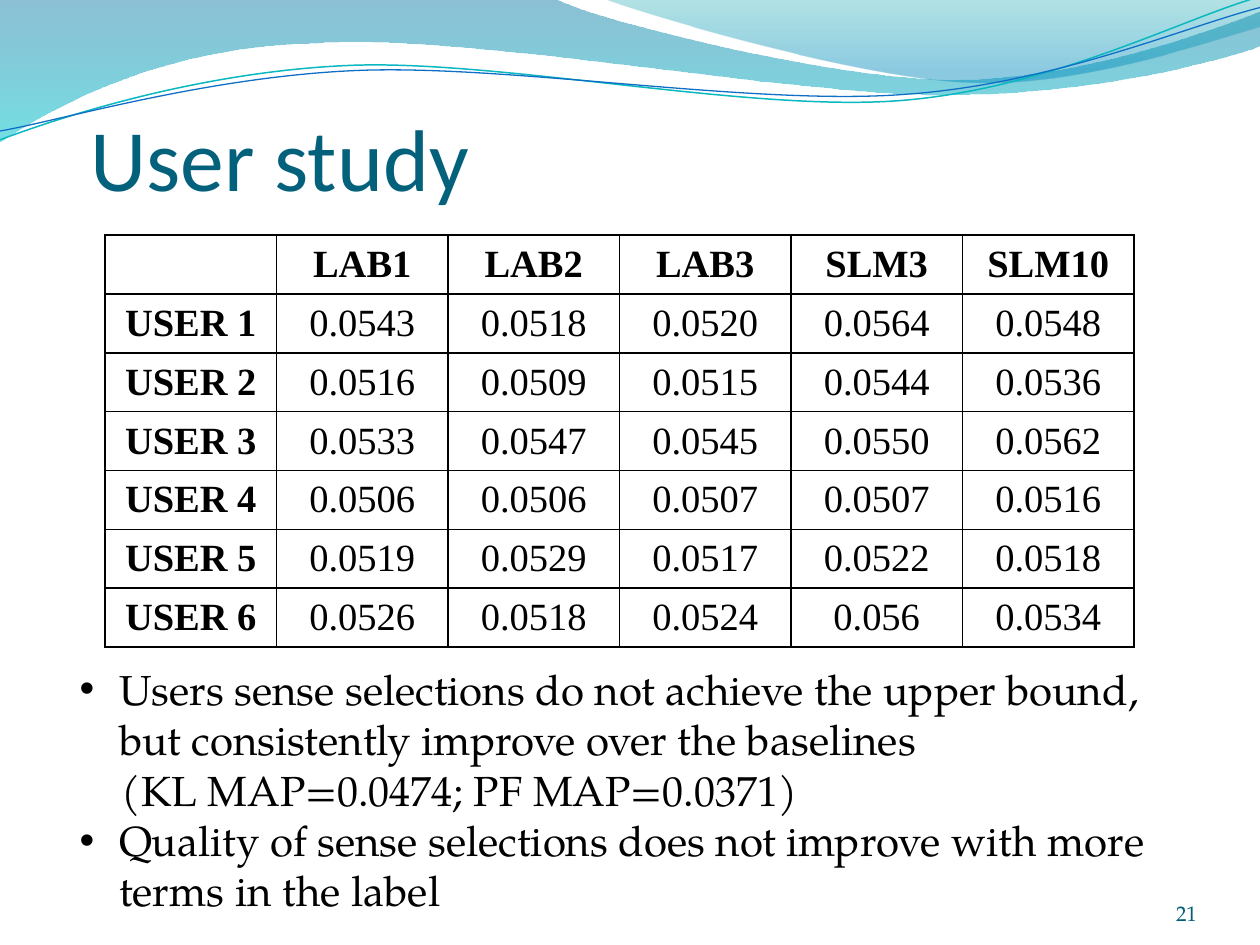
from lxml import etree
from pptx import Presentation
from pptx import util as u
from pptx.dml import color
from pptx.enum import text
from pptx.oxml import ns

WIDE, HIGH = u.Inches(10), u.Inches(7.5)
UNIT = WIDE / 100
SERIF, BODY = "Times New Roman", "TeX Gyre Pagella"
MID, END = text.MSO_ANCHOR.MIDDLE, text.MSO_ANCHOR.BOTTOM

HEAD = ["", "LAB1", "LAB2", "LAB3", "SLM3", "SLM10"]
SCORES = [
    ["0.0543", "0.0518", "0.0520", "0.0564", "0.0548"],
    ["0.0516", "0.0509", "0.0515", "0.0544", "0.0536"],
    ["0.0533", "0.0547", "0.0545", "0.0550", "0.0562"],
    ["0.0506", "0.0506", "0.0507", "0.0507", "0.0516"],
    ["0.0519", "0.0529", "0.0517", "0.0522", "0.0518"],
    ["0.0526", "0.0518", "0.0524", "0.056", "0.0534"],
]
NOTES = [
    ("Users sense selections do not achieve the upper bound, "
     "but consistently improve over the baselines", True),
    ("(KL MAP=0.0474; PF MAP=0.0371)", False),
    ("Quality of sense selections does not improve with more "
     "terms in the label", True),
]

LEFT = [
    [(0, 0)], [(44, -0.1)],
    [(47.6, 1.7), (66.4, 6.3), (75.8, 6.3)],
    [(85.3, 6.3), (95.8, 2.6), (100, 0.9)], [(100.1, 3.6)],
    [(98.3, 4.4), (87, 7.6), (74.6, 7.5)],
    [(62.2, 7.5), (38.2, 2.8), (25.7, 3.4)],
    [(12.9, 3.6), (4.6, 8.3), (-0.1, 11.3)], [(0, 0)],
]
RIGHT = [
    [(47.9, -0.1)],
    [(50.9, 1.1), (68.2, 6.2), (76.9, 6.5)],
    [(85.6, 6.9), (96.1, 3.2), (100, 2.1)], [(100, 0)], [(47.9, -0.1)],
]
TEAL = [
    [(0, 11.1)],
    [(4.8, 9.3), (15.8, 5.7), (27.7, 5.2)],
    [(39.5, 4.7), (59.3, 8.9), (71.3, 8)],
    [(83.3, 7.1), (93.8, 1.5), (99.8, -0.2)],
]
BLUE = [
    [(0, 10.4)],
    [(4.7, 9.6), (16.4, 6.1), (28.3, 5.6)],
    [(40.3, 5.1), (59.7, 8.4), (71.7, 7.5)],
    [(83.6, 6.7), (94.1, 2.1), (100, 0.6)],
]


def span(n):
    return u.Emu(round(n * UNIT))


def paint(tone):
    return color.RGBColor.from_string(tone)


def put(thing, look):
    for name, value in look.items():
        setattr(thing, name, value)


def node(base, tag, **attrs):
    return etree.SubElement(base, ns.qn(tag), attrs)


def bend(shape, route):
    legs = iter(list(shape.element.spPr.iter(ns.qn("a:lnTo"))))
    for part in route[1:]:
        group = [next(legs) for _ in part]
        if len(group) == 3:
            curve = etree.Element(ns.qn("a:cubicBezTo"))
            group[0].addprevious(curve)
            for leg in group:
                curve.append(leg[0])
                leg.getparent().remove(leg)


def trace(slide, route, closed):
    first, *dots = [(span(x), span(y)) for part in route for x, y in part]
    pen = slide.shapes.build_freeform(*first)
    pen.add_line_segments(dots, close=closed)
    shape = pen.convert_to_shape()
    shape.shadow.inherit = False
    bend(shape, route)
    return shape


def wave(slide, route, stops):
    shape = trace(slide, route, True)
    shape.line.fill.background()
    shape.fill.gradient()
    shape.fill.gradient_angle = 270
    for stop, (place, tone, _) in zip(shape.fill.gradient_stops, stops):
        stop.position = place
        stop.color.rgb = paint(tone)
    tones = list(shape.element.spPr.iter(ns.qn("a:srgbClr")))
    for tone, (_, _, alpha) in zip(tones, stops):
        node(tone, "a:alpha", val=str(alpha * 1000))


def curl(slide, route, tone, width):
    shape = trace(slide, route, False)
    shape.fill.background()
    shape.line.color.rgb = paint(tone)
    shape.line.width = u.Pt(width)


def write(para, words, tone, size, **look):
    run = para.add_run()
    run.text = words
    put(run.font, {"size": u.Pt(size), **look})
    run.font.color.rgb = paint(tone)


def frame(slide, place, **look):
    area = slide.shapes.add_textbox(*map(span, place)).text_frame
    put(area, {"word_wrap": True, **look})
    return area


def dot(para, shown):
    props = para._p.get_or_add_pPr()
    dents = {"marL": 3.13, "indent": -3.13} if shown else {"marL": 3.36}
    for name, value in dents.items():
        props.set(name, str(span(value)))
    if shown:
        node(props, "a:buFont", typeface="Arial")
        node(props, "a:buChar", char="•")


def edge(cell):
    props = cell._tc.get_or_add_tcPr()
    for side in ("a:lnL", "a:lnR", "a:lnT", "a:lnB"):
        line = node(props, side, w=str(u.Pt(1)))
        node(node(line, "a:solidFill"), "a:srgbClr", val="000000")


def grid(slide, rows, place):
    shape = slide.shapes.add_table(len(rows), len(rows[0]), *map(span, place))
    table = shape.table
    put(table, {"first_row": False, "horz_banding": False})
    for r, row in enumerate(rows):
        for c, words in enumerate(row):
            cell = table.cell(r, c)
            cell.vertical_anchor = MID
            edge(cell)
            cell.fill.background()
            para = cell.text_frame.paragraphs[0]
            para.alignment = text.PP_ALIGN.CENTER
            if words:
                write(para, words, "000000", 22, name=SERIF,
                      bold=r == 0 or c == 0)


def notes(slide, lines, place):
    area = frame(slide, place)
    for i, (words, shown) in enumerate(lines):
        para = area.add_paragraph() if i else area.paragraphs[0]
        dot(para, shown)
        write(para, words, "000000", 24, name=BODY)


def main():
    deck = Presentation()
    put(deck, {"slide_width": WIDE, "slide_height": HIGH})
    slide = deck.slides.add_slide(deck.slide_layouts[6])

    wave(slide, LEFT, [(0, "0074A1", 45), (1, "00C6CF", 55)])
    wave(slide, RIGHT, [(0, "00A1A9", 30), (0.8, "008BBF", 45)])
    curl(slide, TEAL, "0AB8BF", 0.85)
    curl(slide, BLUE, "0F6FC6", 0.75)

    flush = {"margin_left": 0, "margin_right": 0, "margin_bottom": 0,
             "vertical_anchor": END}
    title = frame(slide, (7.2, 4.1, 90, 12.5), **flush)
    write(title.paragraphs[0], "User study", "04617B", 50, name="Calibri")

    notes(slide, NOTES, (5.33, 52.14, 89.2, 21.2))

    page = frame(slide, (86.7, 69.5, 8.3, 4), margin_top=0, **flush)
    page.paragraphs[0].alignment = text.PP_ALIGN.RIGHT
    write(page.paragraphs[0], "21", "045D75", 12, name=BODY)

    users = [[f"USER {i}", *row] for i, row in enumerate(SCORES, 1)]
    grid(slide, [HEAD, *users], (8.33, 18.67, 81.67, 32.67))
    deck.save("out.pptx")


if __name__ == "__main__":
    main()
